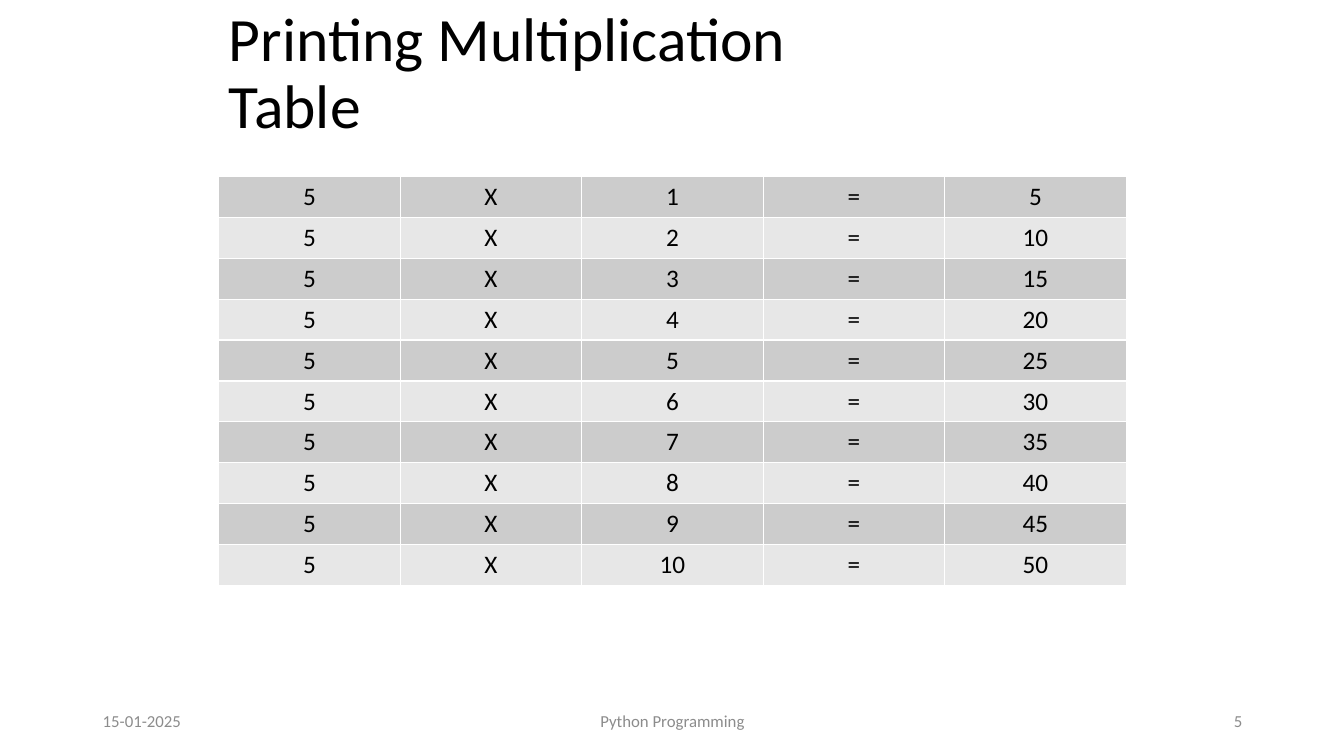
from lxml import etree
from pptx import Presentation
from pptx import util as u
from pptx.dml.color import RGBColor
from pptx.enum import text
from pptx.oxml import ns

ALIGN = text.PP_ALIGN
MID = text.MSO_ANCHOR.MIDDLE
ROWS, COLS = 10, 5
BANDS = ("CCCCCC", "E7E7E7")


def tint(code):
    """Turn a hex string into a colour."""
    return RGBColor.from_string(code)


def apply(item, form):
    """Set each attribute named in a dict of format values."""
    for name, value in form.items():
        setattr(item, name, value)


def write(frame, words, size, hue, align):
    """Fill a text frame with one formatted paragraph."""
    frame.text = words
    para = frame.paragraphs[0]
    para.alignment = align
    apply(para.font, {"size": u.Pt(size), "name": "Calibri"})
    para.font.color.rgb = tint(hue)
    return para


def place(shape, left, top, width, height):
    """Move and size a shape, with lengths in inches."""
    apply(shape, {"left": u.Inches(left), "top": u.Inches(top),
                  "width": u.Inches(width), "height": u.Inches(height)})


def head(slide, words):
    """Move and format the title placeholder."""
    title = slide.shapes.title
    place(title, 2.17, 0.12, 7.08, 1.25)
    para = write(title.text_frame, words, 44, "000000", ALIGN.LEFT)
    para.line_spacing = 0.9
    apply(title.text_frame, {"word_wrap": True, "vertical_anchor": MID,
                             "auto_size": text.MSO_AUTO_SIZE.NONE})


def edge(cell, hue):
    """Draw a one point border on all sides of a cell."""
    props = cell._tc.get_or_add_tcPr()
    for side in "LRTB":
        line = etree.SubElement(props, ns.qn(f"a:ln{side}"), w=str(u.Pt(1)))
        fill = etree.SubElement(line, ns.qn("a:solidFill"))
        etree.SubElement(fill, ns.qn("a:srgbClr"), val=hue)


def grid(slide, base):
    """Add the banded multiplication table of a number."""
    table = slide.shapes.add_table(
        ROWS, COLS, u.Inches(2.17), u.Inches(1.75),
        u.Inches(9), u.Inches(4.06)).table
    apply(table, {"first_row": False, "horz_banding": False})
    for row in range(ROWS):
        times = row + 1
        for col, word in enumerate((base, "X", times, "=", base * times)):
            cell = table.cell(row, col)
            write(cell.text_frame, str(word), 18, "000000", ALIGN.CENTER)
            apply(cell, {"margin_left": u.Inches(0.11),
                         "margin_right": u.Inches(0.11)})
            edge(cell, "FFFFFF")
            cell.fill.solid()
            cell.fill.fore_color.rgb = tint(BANDS[row % 2])


def foot(slide, words, left, width, align):
    """Add one grey footer text."""
    box = slide.shapes.add_textbox(0, 0, 0, 0)
    place(box, left, 6.95, width, 0.4)
    write(box.text_frame, words, 12, "8C8C8C", align)
    apply(box.text_frame, {"word_wrap": True, "vertical_anchor": MID})


def main():
    """Build and save the slide."""
    deck = Presentation()
    apply(deck, {"slide_width": u.Inches(13.33),
                 "slide_height": u.Inches(7.5)})
    slide = deck.slides.add_slide(deck.slide_layouts[5])
    head(slide, "Printing Multiplication Table")
    grid(slide, 5)
    foot(slide, "15-01-2025", 0.92, 3, ALIGN.LEFT)
    foot(slide, "Python Programming", 4.42, 4.5, ALIGN.CENTER)
    foot(slide, "5", 9.42, 3, ALIGN.RIGHT)
    deck.save("out.pptx")


if __name__ == "__main__":
    main()
